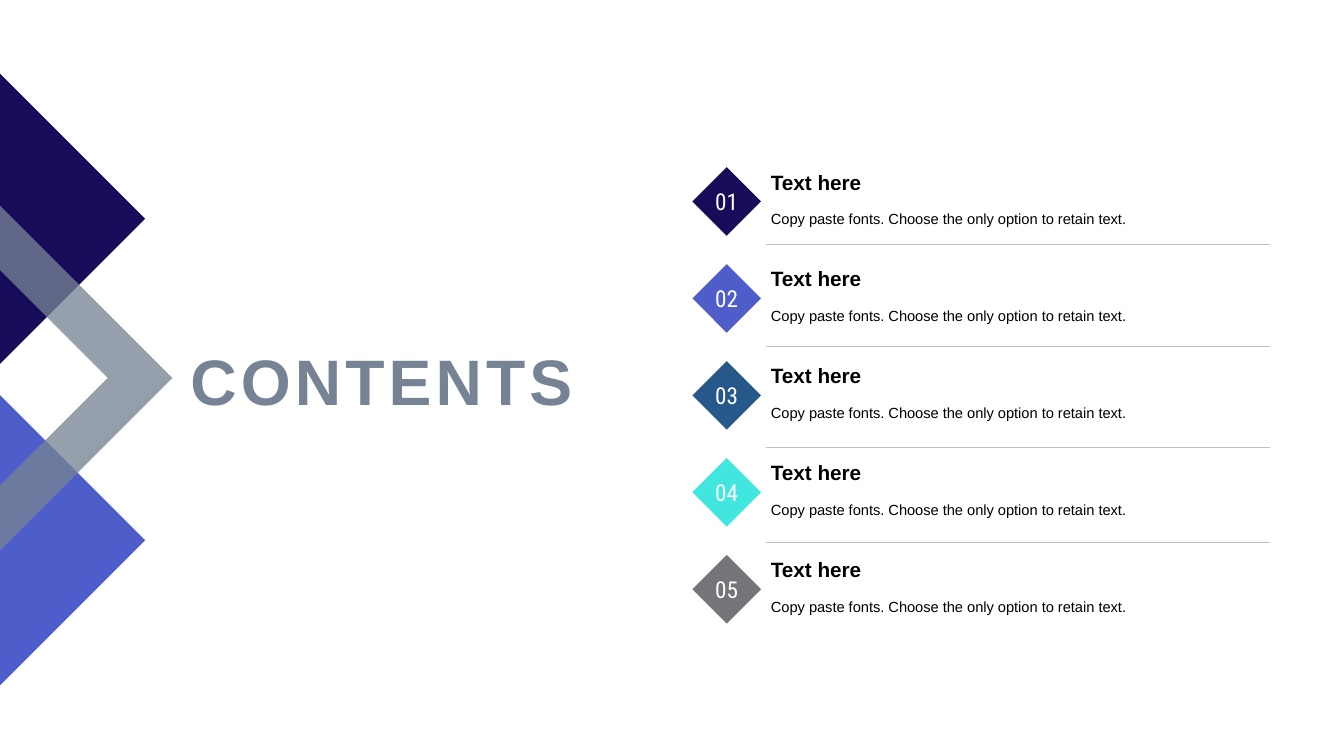
from dataclasses import dataclass

from lxml.etree import SubElement
from pptx import Presentation
from pptx.dml.color import RGBColor
from pptx.enum.shapes import MSO_CONNECTOR, MSO_SHAPE
from pptx.enum.text import MSO_ANCHOR as Anchor, PP_ALIGN as Align
from pptx.oxml.ns import qn
from pptx.util import Pt

NAVY, INDIGO, BLUE, TURQUOISE = "170C5A", "4F5DCB", "265989", "41E7DF"
GRAY, SLATE, RULE = "757579", "768394", "BFBFBF"
WHITE, BLACK = "FFFFFF", "000000"

FIRST_TOP, PITCH = 118.2, 69.25
DIAMOND_LEFT, DIAMOND_SIZE, DIAMOND_DROP = 494.6, 49, 1.2
TEXT_LEFT, TEXT_WIDTH = 543.6, 311.8
HEADING_HEIGHT, BODY_HEIGHT = 24, 25.2
RULE_LEFT, RULE_RIGHT = 547.2, 907.2


@dataclass(frozen=True)
class Box:
    left: float
    top: float
    width: float
    height: float

    def lengths(self) -> list[Pt]:
        return [Pt(value) for value in (self.left, self.top, self.width, self.height)]


@dataclass(frozen=True)
class Style:
    size: float
    color: str
    font: str = "Arial"
    bold: bool = False
    align: Align = Align.LEFT
    anchor: Anchor = Anchor.MIDDLE
    wrap: bool = True
    line_spacing: float = 1.0
    tracking: float = 0


@dataclass(frozen=True)
class Polygon:
    points: list[tuple[float, float]]
    color: str
    opacity: int = 100


TITLE = Style(45.9, SLATE, bold=True, align=Align.RIGHT, tracking=3)
NUMBER = Style(16.6, WHITE, font="Roboto Condensed", align=Align.CENTER, wrap=False)
HEADING = Style(14.8, BLACK, bold=True, anchor=Anchor.BOTTOM, wrap=False)
BODY = Style(10.5, BLACK, line_spacing=1.2)

POLYGONS = [
    Polygon([(0, 489.6), (0, 282.2), (103.7, 385.9)], INDIGO),
    Polygon([(0, 52.6), (103.7, 156.3), (0, 260)], NAVY),
    Polygon([(123.1, 270), (0, 393.1), (0, 347), (77, 270), (0, 193), (0, 146.9)],
            SLATE, 77),
]
ENTRY_COLORS = [NAVY, INDIGO, BLUE, TURQUOISE, GRAY]
RULE_TOPS = [174.2, 247, 319.7, 387.4]


def rgb(color: str) -> RGBColor:
    return RGBColor.from_string(color)


def paint(shape, color: str) -> None:
    """Give a shape a flat fill without outline or shadow."""
    shape.shadow.inherit = False
    shape.fill.solid()
    shape.fill.fore_color.rgb = rgb(color)
    shape.line.fill.background()


def write(shape, text: str, style: Style) -> None:
    frame = shape.text_frame
    frame.word_wrap = style.wrap
    frame.vertical_anchor = style.anchor
    para = frame.paragraphs[0]
    para.alignment = style.align
    para.line_spacing = style.line_spacing
    span = para.add_run()
    span.text = text
    span.font.name = style.font
    span.font.size = Pt(style.size)
    span.font.bold = style.bold
    span.font.color.rgb = rgb(style.color)
    if style.tracking:
        span._r.get_or_add_rPr().set("spc", str(round(style.tracking * 100)))


def add_text(page, box: Box, text: str, style: Style) -> None:
    write(page.shapes.add_textbox(*box.lengths()), text, style)


def add_polygon(page, polygon: Polygon) -> None:
    start, *others = [(Pt(x), Pt(y)) for x, y in polygon.points]
    builder = page.shapes.build_freeform(*start)
    builder.add_line_segments(others, close=True)
    shape = builder.convert_to_shape()
    paint(shape, polygon.color)
    if polygon.opacity < 100:
        fill_color = shape._element.spPr.find(qn("a:solidFill"))[0]
        SubElement(fill_color, qn("a:alpha")).set("val", str(polygon.opacity * 1000))


def add_entry(page, index: int, color: str) -> None:
    top = FIRST_TOP + index * PITCH
    box = Box(DIAMOND_LEFT, top + DIAMOND_DROP, DIAMOND_SIZE, DIAMOND_SIZE)
    diamond = page.shapes.add_shape(MSO_SHAPE.DIAMOND, *box.lengths())
    paint(diamond, color)
    write(diamond, f"{index + 1:02}", NUMBER)
    add_text(page, Box(TEXT_LEFT, top, TEXT_WIDTH, HEADING_HEIGHT), "Text here", HEADING)
    add_text(page, Box(TEXT_LEFT, top + HEADING_HEIGHT, TEXT_WIDTH, BODY_HEIGHT),
             "Copy paste fonts. Choose the only option to retain text.", BODY)


def add_rule(page, top: float) -> None:
    rule = page.shapes.add_connector(
        MSO_CONNECTOR.STRAIGHT, Pt(RULE_LEFT), Pt(top), Pt(RULE_RIGHT), Pt(top))
    rule.line.color.rgb = rgb(RULE)
    rule.line.width = Pt(0.25)
    SubElement(rule._element.spPr, qn("a:effectLst"))


def main() -> None:
    deck = Presentation()
    deck.slide_width, deck.slide_height = Pt(960), Pt(540)
    page = deck.slides.add_slide(deck.slide_layouts[6])
    for polygon in POLYGONS:
        add_polygon(page, polygon)
    add_text(page, Box(121.7, 234.7, 294.5, 72.7), "CONTENTS", TITLE)
    for index, color in enumerate(ENTRY_COLORS):
        add_entry(page, index, color)
    for top in RULE_TOPS:
        add_rule(page, top)
    deck.save("out.pptx")


if __name__ == "__main__":
    main()
